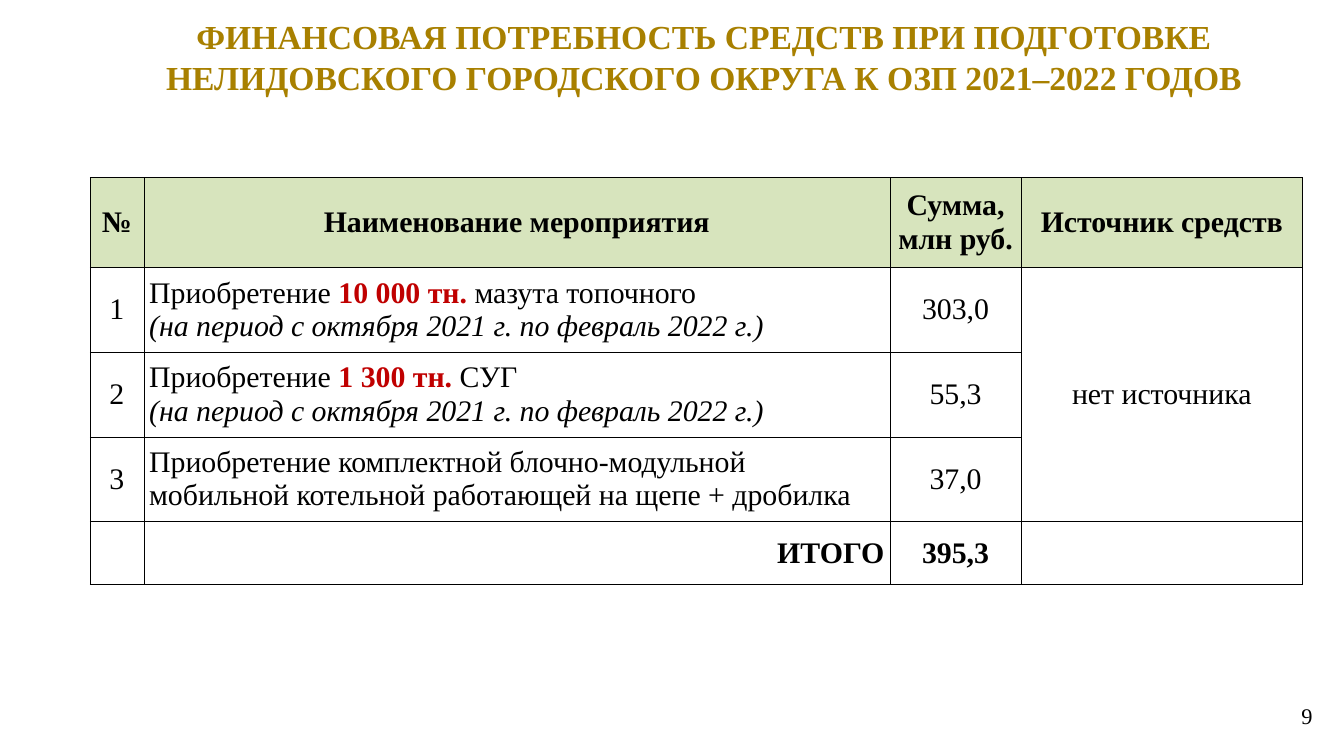
import pptx
import pptx.util
import pptx.dml.color
import pptx.enum.text
from pptx.oxml.ns import qn
from lxml import etree

Inches, Pt = pptx.util.Inches, pptx.util.Pt
ALIGN = pptx.enum.text.PP_ALIGN
MIDDLE = pptx.enum.text.MSO_ANCHOR.MIDDLE

COLORS = {"title": "A88000", "text": "000000", "accent": "C00000",
          "header": "D7E4BD", "body": "FFFFFF", "border": "000000"}
FONT = "Times New Roman"
COLUMN_WIDTHS = [0.4, 5.55, 0.98, 2.09]
ROW_HEIGHTS = [0.67, 0.63, 0.63, 0.63, 0.47]
COLUMN_ALIGNS = [ALIGN.CENTER, ALIGN.LEFT, ALIGN.CENTER, ALIGN.CENTER]

HEADERS = ["№", "Наименование мероприятия", "Сумма, млн руб.", "Источник средств"]
PERIOD = [("(на период с октября 2021 г. по февраль 2022 г.)", "italic")]
# Each measure is a list of paragraphs, each paragraph a list of (text, style) runs.
MEASURES = [
    ([[("Приобретение ", ""), ("10 000 тн.", "accent"), (" мазута топочного", "")], PERIOD], "303,0"),
    ([[("Приобретение ", ""), ("1 300 тн.", "accent"), (" СУГ", "")], PERIOD], "55,3"),
    ([[("Приобретение комплектной блочно-модульной мобильной котельной "
        "работающей на щепе + дробилка", "")]], "37,0"),
]


def rgb(name):
    return pptx.dml.color.RGBColor.from_string(COLORS[name])


def add_span(para, text, size, color="text", bold=False, italic=False):
    span = para.add_run()
    span.text = text
    font = span.font
    font.name, font.size, font.bold, font.italic = FONT, Pt(size), bold, italic
    font.color.rgb = rgb(color)


def set_margins(target, across, down):
    target.margin_left = target.margin_right = Inches(across)
    target.margin_top = target.margin_bottom = Inches(down)


def style_cell(cell, fill, down):
    """Give a cell thin borders, a fill, margins and middle anchoring."""
    properties = cell._tc.get_or_add_tcPr()
    for side in ("lnL", "lnR", "lnT", "lnB"):
        line = etree.SubElement(properties, qn("a:" + side), w=str(Pt(0.25)))
        solid = etree.SubElement(line, qn("a:solidFill"))
        etree.SubElement(solid, qn("a:srgbClr"), val=COLORS["border"])
    cell.fill.solid()
    cell.fill.fore_color.rgb = rgb(fill)
    cell.vertical_anchor = MIDDLE
    set_margins(cell, 0.04, down)


def write_cell(cell, paragraphs, align):
    frame = cell.text_frame
    for index, runs in enumerate(paragraphs):
        para = frame.add_paragraph() if index else frame.paragraphs[0]
        para.alignment = align
        for text, style in runs:
            add_span(para, text, 16, "accent" if style == "accent" else "text",
                     bold=style in ("accent", "bold"), italic=style == "italic")


def fill_title(page, left, top, width, height):
    title = page.shapes.title
    title.left, title.top, title.width, title.height = map(Inches, (left, top, width, height))
    frame = title.text_frame
    frame.auto_size = pptx.enum.text.MSO_AUTO_SIZE.NONE
    frame.word_wrap = True
    frame.vertical_anchor = MIDDLE
    para = frame.paragraphs[0]
    para.alignment = ALIGN.CENTER
    add_span(para, "ФИНАНСОВАЯ ПОТРЕБНОСТЬ СРЕДСТВ ПРИ ПОДГОТОВКЕ НЕЛИДОВСКОГО "
                   "ГОРОДСКОГО ОКРУГА К ОЗП 2021–2022 ГОДОВ", 18, "title", bold=True)


def add_cost_table(page, left, top):
    rows, columns = len(ROW_HEIGHTS), len(COLUMN_WIDTHS)
    table = page.shapes.add_table(
        rows, columns, Inches(left), Inches(top),
        Inches(sum(COLUMN_WIDTHS)), Inches(sum(ROW_HEIGHTS))).table
    for column, width in zip(table.columns, COLUMN_WIDTHS):
        column.width = Inches(width)
    for index, height in enumerate(ROW_HEIGHTS):
        table.rows[index].height = Inches(height)
        for cell in table.rows[index].cells:
            style_cell(cell, "body" if index else "header", 0.04 if index else 0.05)

    for index, header in enumerate(HEADERS):
        write_cell(table.cell(0, index), [[(header, "bold")]], ALIGN.CENTER)
    for number, (measure, amount) in enumerate(MEASURES, start=1):
        contents = [[[(str(number), "")]], measure, [[(amount, "")]]]
        for index, paragraphs in enumerate(contents):
            write_cell(table.cell(number, index), paragraphs, COLUMN_ALIGNS[index])

    source = table.cell(1, 3)
    source.merge(table.cell(len(MEASURES), 3))
    write_cell(source, [[("нет источника", "")]], ALIGN.CENTER)
    write_cell(table.cell(rows - 1, 1), [[("ИТОГО", "bold")]], ALIGN.RIGHT)
    write_cell(table.cell(rows - 1, 2), [[("395,3", "bold")]], ALIGN.CENTER)


def add_page_number(page, left, top, width, height):
    box = page.shapes.add_textbox(*map(Inches, (left, top, width, height)))
    frame = box.text_frame
    frame.word_wrap = True
    frame.vertical_anchor = MIDDLE
    set_margins(frame, 0.05, 0.03)
    para = frame.paragraphs[0]
    para.alignment = ALIGN.CENTER
    add_span(para, "9", 12)


def main():
    deck = pptx.Presentation()
    deck.slide_width = Inches(10)
    deck.slide_height = deck.slide_width * 9 // 16
    page = deck.slides.add_slide(deck.slide_layouts[5])
    fill_title(page, 0.75, 0.06, 8.98, 0.72)
    add_cost_table(page, 0.67, 1.32)
    add_page_number(page, 9.57, 5.17, 0.31, 0.31)
    deck.save("out.pptx")


if __name__ == "__main__":
    main()
